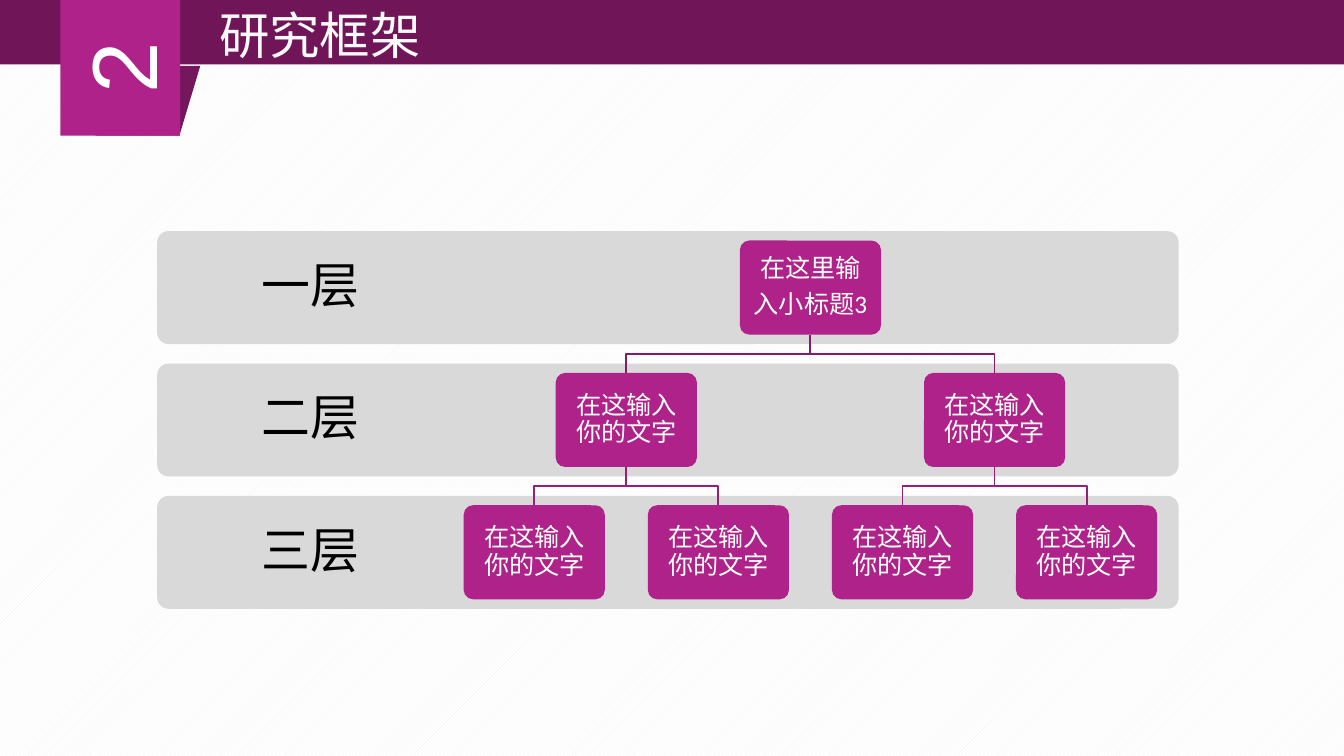
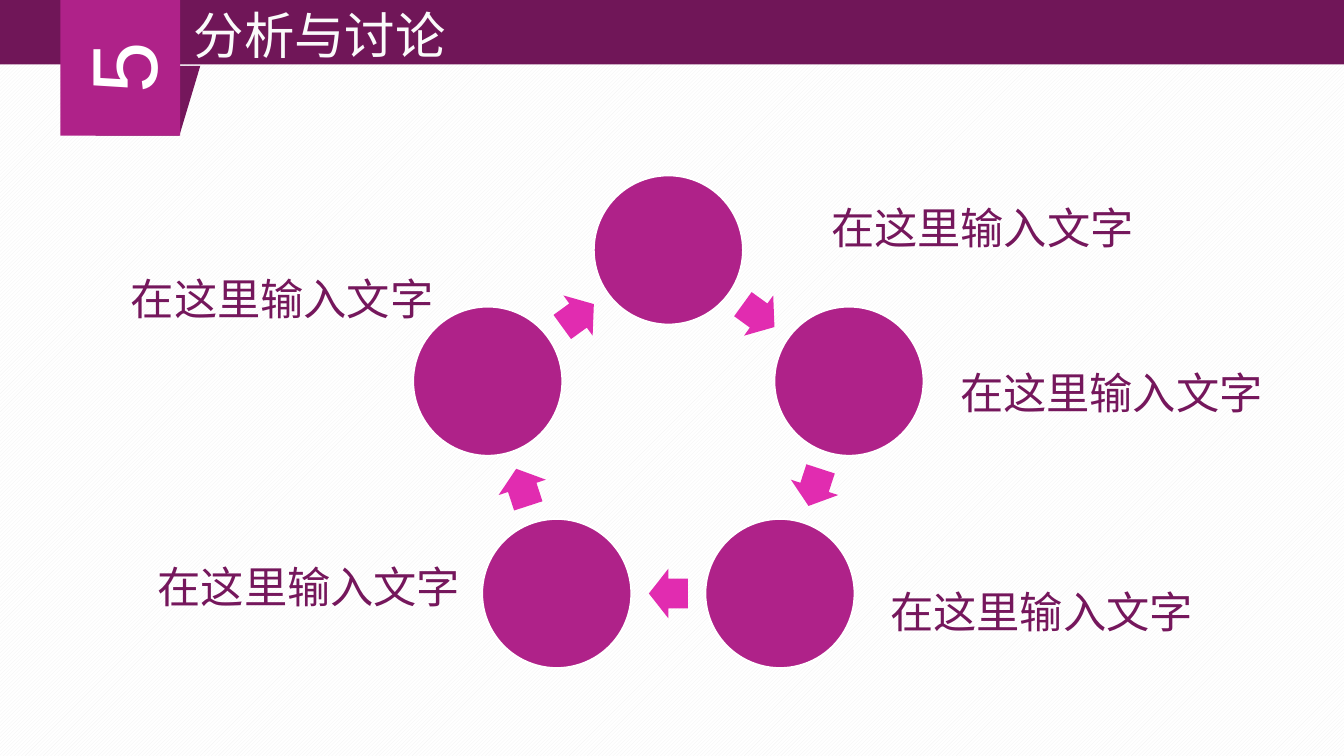
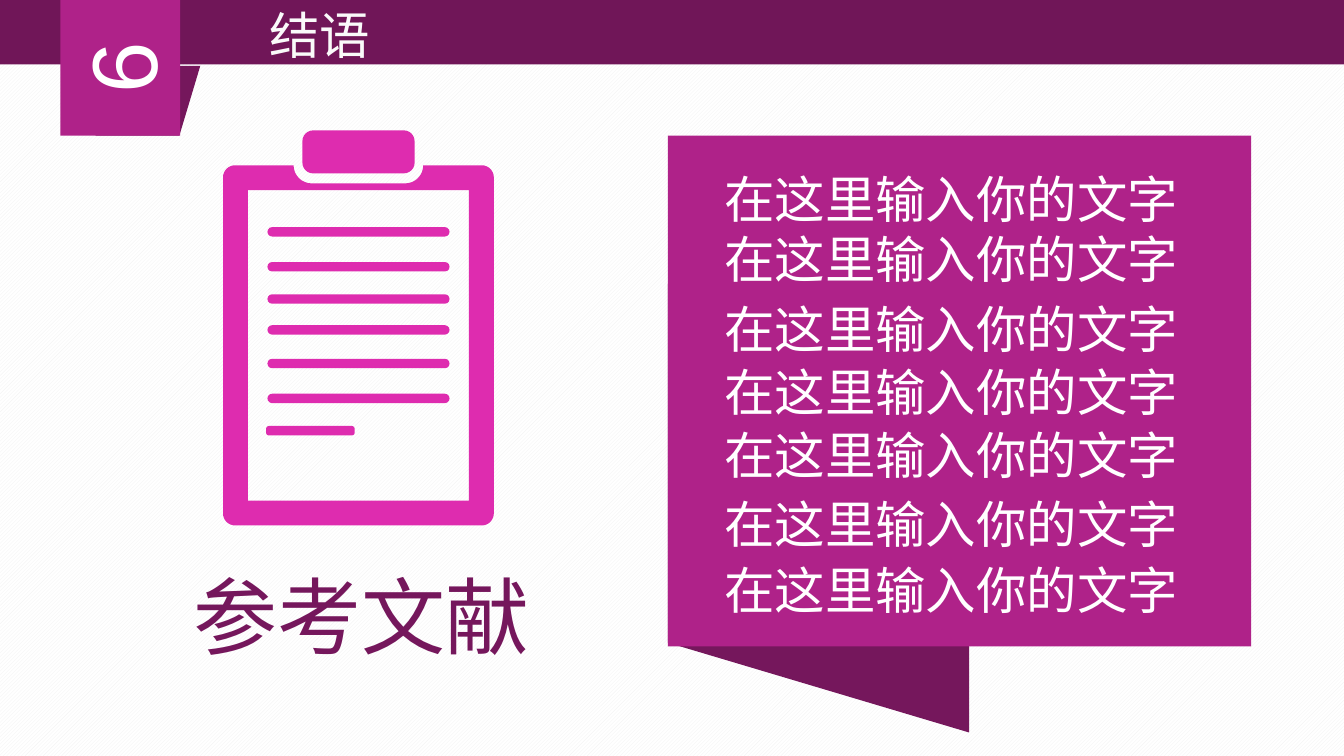
import math
from dataclasses import dataclass

from lxml import etree
from pptx import Presentation
from pptx import util as u
from pptx.dml.color import RGBColor
from pptx.enum import dml, shapes, text
from pptx.oxml import ns

COLUMNS, ROWS = 100, 56.25
CELL = u.Inches(0.1)
COLORS = {
    "white": "FFFFFF",
    "hatch": "F2F2F2",
    "title": "FAFAFA",
    "black": "000000",
    "layer": "D9D9D9",
    "band": "701658",
    "fold": "75175C",
    "main": "AF2289",
    "arrow": "E12CB0",
    "icon": "DE2CAF",
    "upper_line": "841A68",
    "lower_line": "981E77",
}
LATIN, CJK = "Arial", "Noto Sans CJK SC"
PRESET = shapes.MSO_SHAPE
ALIGN = text.PP_ALIGN
ANCHOR = text.MSO_ANCHOR


@dataclass
class Box:
    left: float
    top: float
    width: float
    height: float

    def inside(self, left, top, width, height):
        return Box(self.left + left, self.top + top, width, height)

    def point(self, x, y):
        return round((self.left + x) * CELL), round((self.top + y) * CELL)

    def emu(self):
        return [round(n * CELL) for n in (self.left, self.top, self.width, self.height)]


def color(name):
    return RGBColor.from_string(COLORS[name])


def paint(shape, fill=None, line=None):
    shape.shadow.inherit = False
    if fill:
        shape.fill.solid()
        shape.fill.fore_color.rgb = color(fill)
    else:
        shape.fill.background()
    if line:
        shape.line.color.rgb = color(line)
        shape.line.width = u.Pt(1)
    else:
        shape.line.fill.background()
    return shape


def add_preset(slide, preset, box, fill, line=None, rotation=0, adjustments=()):
    shape = paint(slide.shapes.add_shape(preset, *box.emu()), fill, line)
    shape.rotation = rotation
    for index, value in enumerate(adjustments):
        shape.adjustments[index] = value
    return shape


def add_run(paragraph, content, size, fill, font):
    run = paragraph.add_run()
    run.text = content
    run.font.size = u.Pt(size)
    run.font.color.rgb = color(fill)
    run.font.name = font
    latin = run.font._element.find(ns.qn("a:latin"))
    east_asian = etree.Element(ns.qn("a:ea"), typeface=CJK)
    latin.addnext(east_asian)


def write(shape, paragraphs, size, fill, font=LATIN, align=ALIGN.CENTER,
          anchor=ANCHOR.MIDDLE, inset=None, spaced=False, grow=False):
    frame = shape.text_frame
    frame.word_wrap = True
    frame.vertical_anchor = anchor
    frame.auto_size = (text.MSO_AUTO_SIZE.SHAPE_TO_FIT_TEXT if grow
                       else text.MSO_AUTO_SIZE.NONE)
    if inset is not None:
        frame.margin_left = frame.margin_right = u.Inches(inset)
        frame.margin_top = frame.margin_bottom = u.Inches(inset)
    for index, runs in enumerate(paragraphs):
        paragraph = frame.add_paragraph() if index else frame.paragraphs[0]
        paragraph.alignment = align
        if spaced:
            paragraph.line_spacing = 0.9
            paragraph.space_after = u.Pt(round(size * 0.35, 1))
        for content, *own_font in runs:
            add_run(paragraph, content, size, fill, *(own_font or [font]))


def add_text(slide, box, content, size, fill, **style):
    write(slide.shapes.add_textbox(*box.emu()), [[(content,)]], size, fill, **style)


def add_header(slide, box, number, title):
    add_preset(slide, PRESET.RECTANGLE, box, "band")
    add_preset(slide, PRESET.FLOWCHART_DATA, box.inside(7.1, 5, 7.8, 5.2), "fold", rotation=180)
    tag = add_preset(slide, PRESET.RECTANGLE, box.inside(3.9, 0.7, 10.1, 8.9), "main", rotation=270)
    write(tag, [[(number,)]], 49.5, "white")
    placeholder = slide.shapes.title
    placeholder.left, placeholder.top, placeholder.width, placeholder.height = (
        box.inside(11, -0.1, 25.6, 5.6).emu())
    write(placeholder, [[(title,)]], 27, "title", anchor=ANCHOR.TOP, grow=True)
    slide.shapes.element.append(placeholder.element)


def add_slide(presentation, number, title):
    slide = presentation.slides.add_slide(presentation.slide_layouts[5])
    add_header(slide, Box(0, -0.1, COLUMNS, 4.9), number, title)
    return slide


def add_branch(slide, box, parent, child, top, bottom, line):
    middle = (top + bottom) / 2
    builder = slide.shapes.build_freeform(*box.point(parent, top))
    corners = [(parent, middle), (child, middle), (child, bottom)]
    builder.add_line_segments([box.point(*corner) for corner in corners], close=False)
    paint(builder.convert_to_shape(), line=line)


def add_layers(slide, box, labels, pitch):
    for level, label in enumerate(labels):
        layer = box.inside(0, level * pitch, box.width, 8.4)
        add_preset(slide, PRESET.ROUNDED_RECTANGLE, layer, "layer", adjustments=[0.1])
        add_text(slide, layer.inside(0, 0, box.width * 0.3, 8.4), label, 26.2, "black",
                 font=CJK, inset=0.2, spaced=True)


def add_tree(slide, box, pitch):
    node_width, node_height, leaf_pitch, levels = 10.5, 7, 13.7, 3
    root_text = [[("在这里输",)], [("入小标题",), ("3", "Calibri")]]
    node_text = [[("在这输入你的文字",)]]
    parents = []
    for level in range(levels):
        span = 2 ** (levels - 1 - level)
        centers = [28.05 + leaf_pitch * ((span - 1) / 2 + span * index)
                   for index in range(2 ** level)]
        top = 0.7 + level * pitch
        for index, center in enumerate(centers):
            if parents:
                add_branch(slide, box, parents[index // 2], center, top - pitch + node_height,
                           top, "upper_line" if level == 1 else "lower_line")
            node = add_preset(slide, PRESET.ROUNDED_RECTANGLE,
                              box.inside(center - node_width / 2, top, node_width, node_height),
                              "main", adjustments=[0.1])
            write(node, node_text if parents else root_text, 13.5, "white",
                  font=CJK, inset=0.08, spaced=True)
        parents = centers


def add_framework(presentation):
    slide = add_slide(presentation, "2", "研究框架")
    box, pitch = Box(11.7, 17.2, 76, 28.1), 9.85
    add_layers(slide, box, ["一层", "二层", "三层"], pitch)
    add_tree(slide, box, pitch)


def centered(box, radius, degrees, width, height):
    angle = math.radians(degrees)
    return box.inside(box.width / 2 + radius * math.cos(angle) - width / 2,
                      box.height / 2 + radius * math.sin(angle) - height / 2, width, height)


def add_cycle(slide, box, count):
    step, radius = 360 / count, box.width / 2
    for index in range(count):
        angle = index * step - 90
        add_preset(slide, PRESET.OVAL, centered(box, radius, angle, 11.1, 11.1),
                   "main", line="white")
        add_preset(slide, PRESET.RIGHT_ARROW,
                   centered(box, radius * math.cos(math.radians(step / 2)),
                            angle + step / 2, 2.9, 3.7),
                   "arrow", rotation=step * (index + 0.5), adjustments=[0.6, 0.5])


def add_discussion(presentation):
    slide = add_slide(presentation, "5", "分析与讨论")
    add_cycle(slide, Box(35.6, 18.6, 28.26, 28.26), 5)
    for left, top in [(61.1, 13.2), (70.7, 25.5), (65.5, 41.8), (11, 39.9), (9, 18.5)]:
        add_text(slide, Box(left, top, 24, 7.9), "在这里输入文字", 23.2, "fold",
                 inset=0.03, spaced=True)


def arc(x, y, radius, start, stop):
    angles = [math.radians(start + (stop - start) * step / 8) for step in range(9)]
    return [(x + radius * math.cos(angle), y + radius * math.sin(angle)) for angle in angles]


def add_board(slide, box):
    right, bottom, corner, notch, rim = box.width, box.height, 0.9, 1.35, 1.85
    outline = [
        *arc(right - 6.6, 0, notch, 0, 90),
        *arc(6.6, 0, notch, 90, 180),
        *arc(corner, corner, corner, 270, 180),
        *arc(corner, bottom - corner, corner, 180, 90),
        *arc(right - corner, bottom - corner, corner, 90, 0),
        *arc(right - corner, corner, corner, 0, -90),
    ]
    window = [(rim, rim), (right - rim, rim), (right - rim, bottom - rim), (rim, bottom - rim)]
    builder = slide.shapes.build_freeform(*box.point(*outline[0]))
    builder.add_line_segments([box.point(*point) for point in outline[1:]])
    builder.move_to(*box.point(*window[0]))
    builder.add_line_segments([box.point(*point) for point in window[1:]])
    paint(builder.convert_to_shape(), "icon")


def add_clipboard(slide, box):
    add_board(slide, box.inside(0, 2.6, box.width, box.height - 2.6))
    bars = [(5.9, 0, 8.35, 3.2, 0.25)]
    bars += [(3.3, top, 13.55, 0.7, 0.5) for top in (7.2, 9.8, 12.2, 14.5, 17, 19.6)]
    bars.append((3.2, 22, 6.6, 0.7, 0.3))
    for left, top, width, height, rounding in bars:
        add_preset(slide, PRESET.ROUNDED_RECTANGLE, box.inside(left, top, width, height),
                   "icon", adjustments=[rounding])


def add_panel(slide, box):
    add_preset(slide, PRESET.FLOWCHART_DATA, box.inside(-5.5, 16.5, 33.4, 22.4),
               "fold", rotation=270)
    add_preset(slide, PRESET.RECTANGLE, box, "main")
    for top in (1.9, 6.4, 11.6, 16.3, 21, 26.1, 31):
        add_text(slide, box.inside(3.2, top, box.width - 3.2, 5.6), "在这里输入你的文字",
                 27, "white", align=ALIGN.LEFT, anchor=ANCHOR.TOP, grow=True)


def add_conclusion(presentation):
    slide = add_slide(presentation, "6", "结语")
    add_panel(slide, Box(49.7, 10.1, 43.4, 38))
    add_clipboard(slide, Box(16.6, 9.7, 20.15, 29.4))
    add_text(slide, Box(13.4, 41.5, 29.4, 8.6), "参考文献", 45, "fold",
             align=ALIGN.LEFT, anchor=ANCHOR.TOP, grow=True)


def set_background(master):
    fill = master.background.fill
    fill.patterned()
    fill.pattern = dml.MSO_PATTERN.LIGHT_UPWARD_DIAGONAL
    fill.fore_color.rgb = color("hatch")
    fill.back_color.rgb = color("white")


def main():
    presentation = Presentation()
    presentation.slide_width = round(COLUMNS * CELL)
    presentation.slide_height = round(ROWS * CELL)
    set_background(presentation.slide_master)
    add_framework(presentation)
    add_discussion(presentation)
    add_conclusion(presentation)
    presentation.save("out.pptx")


if __name__ == "__main__":
    main()
